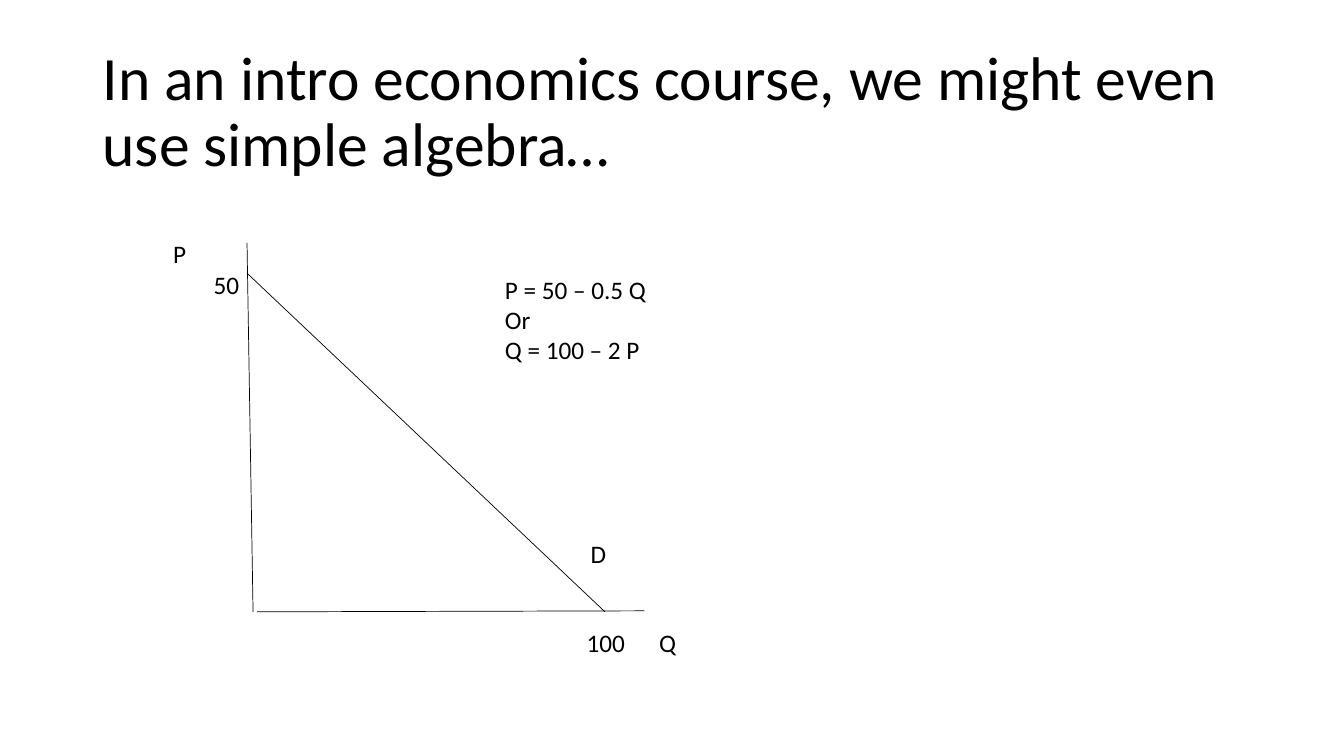
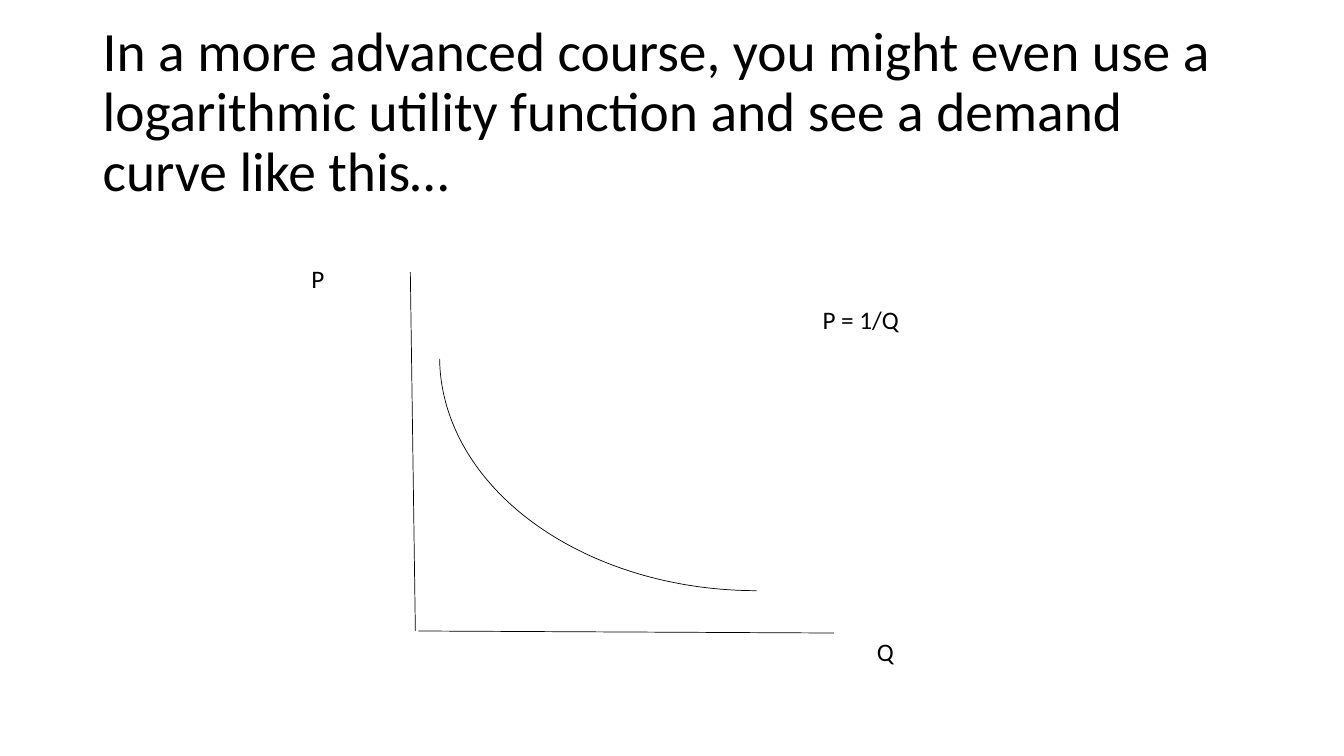
"""Build two slides that show demand curves."""
from dataclasses import dataclass

from lxml import etree
from pptx import Presentation
from pptx.dml.color import RGBColor
from pptx.enum import shapes, text
from pptx.oxml import ns
from pptx.util import Inches, Pt


@dataclass(frozen=True)
class Theme:
    """Colours, font and sizes that the slides share."""
    ink: RGBColor = RGBColor(0, 0, 0)
    paper: RGBColor = RGBColor(255, 255, 255)
    font: str = "Calibri"
    title: float = 44
    long_title: float = 39.6
    label: float = 18
    line: float = 0.5


THEME = Theme()


def add_text(slide, content, left, top, width=0.6, height=0.4, *,
             size=THEME.label, anchor=text.MSO_ANCHOR.TOP, spacing=1.0):
    """Add a text box with one paragraph for each line of content."""
    sp = slide.shapes.add_textbox(*map(Inches, (left, top, width, height)))
    tf = sp.text_frame
    tf.word_wrap = True
    tf.vertical_anchor = anchor
    tf.text = content
    for p in tf.paragraphs:
        p.line_spacing = spacing
        for r in p.runs:
            r.font.name = THEME.font
            r.font.size = Pt(size)
            r.font.color.rgb = THEME.ink


def add_slide(prs, title, size=THEME.title):
    """Add a blank slide with a title."""
    slide = prs.slides.add_slide(prs.slide_layouts[6])
    slide.background.fill.solid()
    slide.background.fill.fore_color.rgb = THEME.paper
    add_text(slide, title, 0.92, 0.4, 11.5, 1.45, size=size,
             anchor=text.MSO_ANCHOR.MIDDLE, spacing=0.9)
    return slide


def style_line(sp):
    """Give a shape or connector the thin ink line."""
    sp.line.color.rgb = THEME.ink
    sp.line.width = Pt(THEME.line)


def add_line(slide, start, end):
    """Add a straight line between two points."""
    sp = slide.shapes.add_connector(shapes.MSO_CONNECTOR.STRAIGHT,
                                    *map(Inches, (*start, *end)))
    style_line(sp)
    etree.SubElement(sp._element.spPr, ns.qn("a:effectLst"))


def add_arc(slide, left, top, width, height, start, end):
    """Add an arc turned by half a circle."""
    sp = slide.shapes.add_shape(shapes.MSO_SHAPE.ARC,
                                *map(Inches, (left, top, width, height)))
    sp.adjustments[0], sp.adjustments[1] = start, end
    sp.rotation = 180
    sp.fill.background()
    sp.shadow.inherit = False
    style_line(sp)


def linear_demand(prs):
    """Draw the straight demand curve."""
    slide = add_slide(prs, "In an intro economics course, we might even use simple algebra…")
    add_line(slide, (2.45, 2.41), (2.51, 6.07))
    add_line(slide, (2.55, 6.07), (6.39, 6.06))
    add_line(slide, (2.45, 2.71), (6, 6.07))
    for label, left, top in (("P", 1.62, 2.32), ("50", 2.02, 2.62), ("D", 5.76, 5.29),
                             ("100", 5.72, 6.17), ("Q", 6.44, 6.17)):
        add_text(slide, label, left, top)
    add_text(slide, "P = 50 – 0.5 Q\nOr\nQ = 100 – 2 P", 4.91, 2.67, 1.8, 1.01)


def logarithmic_demand(prs):
    """Draw the demand curve of a logarithmic utility function."""
    slide = add_slide(prs, "In a more advanced course, you might even use a logarithmic "
                           "utility function and see a demand curve like this…",
                      THEME.long_title)
    add_line(slide, (4.07, 2.7), (4.12, 6.26))
    add_line(slide, (4.15, 6.26), (8.27, 6.28))
    add_arc(slide, 4.36, 1.22, 6.29, 4.64, 162, 215.77)
    add_text(slide, "P", 2.99, 2.56)
    add_text(slide, "Q", 8.6, 6.26)
    add_text(slide, "P = 1/Q", 8.06, 2.97, 1.2)


def main():
    """Build and save the presentation."""
    prs = Presentation()
    prs.slide_width, prs.slide_height = Inches(13.33), Inches(7.5)
    linear_demand(prs)
    logarithmic_demand(prs)
    prs.save("out.pptx")


if __name__ == "__main__":
    main()
